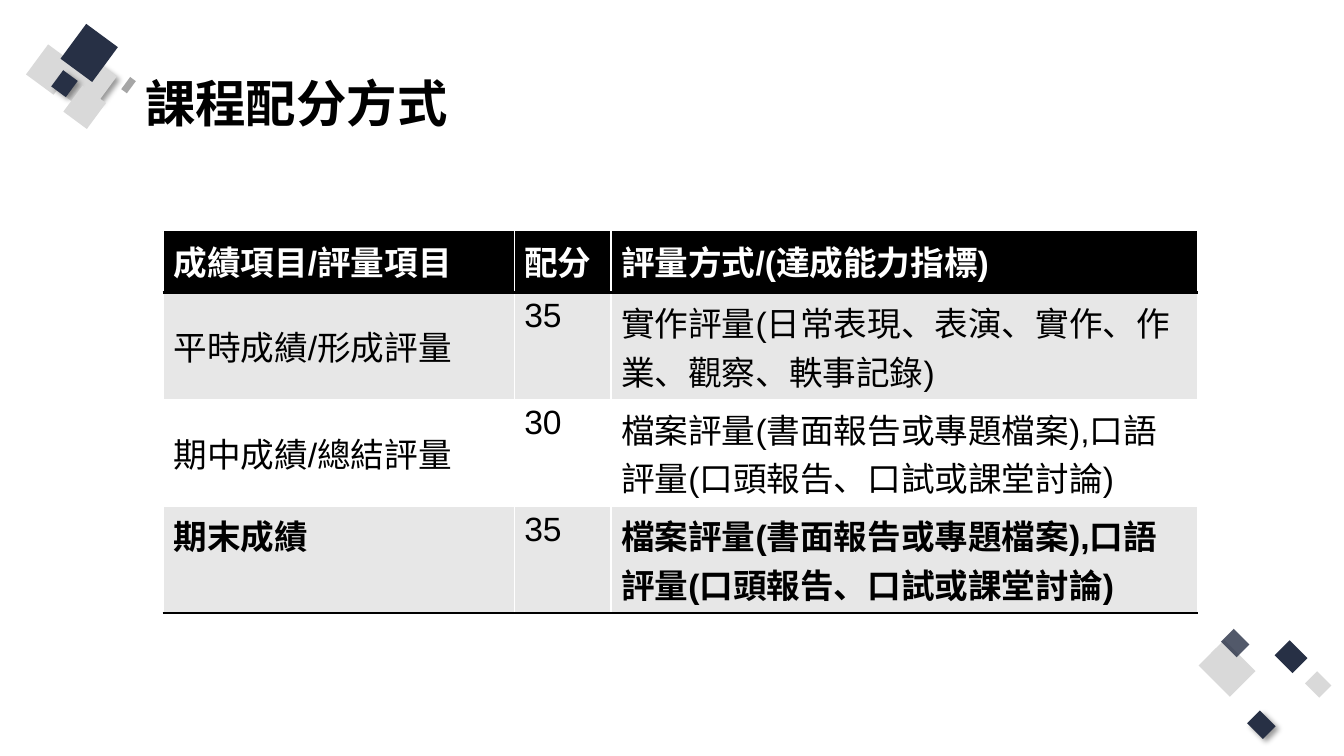
from dataclasses import dataclass
from lxml.etree import SubElement
from pptx import Presentation
from pptx.dml.color import RGBColor
from pptx.enum.shapes import MSO_SHAPE as Preset
from pptx.enum.text import MSO_ANCHOR as Anchor
from pptx.oxml.ns import qn
from pptx.util import Inches, Pt


@dataclass(frozen=True)
class Theme:
    font: str = "Arial"
    navy: str = "273045"
    silver: str = "D9D9D9"
    gray: str = "A6A6A6"
    black: str = "000000"
    white: str = "FFFFFF"
    band: str = "E7E7E7"
    title_size: int = 36
    table_size: int = 24


class SlideBuilder:
    def __init__(self, slide, theme):
        self.slide = slide
        self.theme = theme

    def style(self, paragraph, size, color, bold):
        for run in paragraph.runs:
            run.font.name = self.theme.font
            run.font.size = Pt(size)
            run.font.bold = bold
            run.font.color.rgb = RGBColor.from_string(color)

    def tile(self, left, top, width, height, angle, color, shadow=False, opacity=100):
        shape = self.slide.shapes.add_shape(
            Preset.RECTANGLE, Inches(left), Inches(top), Inches(width), Inches(height))
        shape.rotation = angle
        shape.shadow.inherit = False
        shape.fill.solid()
        shape.fill.fore_color.rgb = RGBColor.from_string(color)
        shape.line.fill.background()
        properties = shape.element.spPr
        if opacity < 100:
            fill_color = properties.find(qn("a:solidFill"))[0]
            SubElement(fill_color, qn("a:alpha"), val=str(opacity * 1000))
        if shadow:
            outer = SubElement(
                properties.find(qn("a:effectLst")), qn("a:outerShdw"),
                blurRad=str(Pt(4)), dist=str(Pt(3)), dir=str(45 * 60000),
                algn="tl", rotWithShape="0")
            shadow_color = SubElement(outer, qn("a:srgbClr"), val=self.theme.black)
            SubElement(shadow_color, qn("a:alpha"), val="40000")

    def title(self, text, left, top, width, height):
        box = self.slide.shapes.add_textbox(
            Inches(left), Inches(top), Inches(width), Inches(height))
        frame = box.text_frame
        frame.word_wrap = True
        frame.vertical_anchor = Anchor.MIDDLE
        frame.text = text
        paragraph = frame.paragraphs[0]
        paragraph.line_spacing = 0.9
        self.style(paragraph, self.theme.title_size, self.theme.black, True)

    def border(self, cell, sides):
        properties = cell._tc.get_or_add_tcPr()
        for index, side in enumerate(sides):
            line = properties.makeelement(qn(f"a:{side}"), {"w": str(Pt(2))})
            fill = SubElement(line, qn("a:solidFill"))
            SubElement(fill, qn("a:srgbClr"), val=self.theme.black)
            properties.insert(index, line)

    def table(self, rows, left, top, widths, heights):
        theme = self.theme
        table = self.slide.shapes.add_table(
            len(rows), len(widths), Inches(left), Inches(top),
            Inches(sum(widths)), Inches(sum(heights))).table
        for column, width in zip(table.columns, widths):
            column.width = Inches(width)
        for row, height in zip(table.rows, heights):
            row.height = Inches(height)
        last = len(rows) - 1
        for row_index, texts in enumerate(rows):
            header = row_index == 0
            fill = theme.black if header else theme.band if row_index % 2 else theme.white
            for column_index, text in enumerate(texts):
                cell = table.cell(row_index, column_index)
                cell.text_frame.text = text
                bold = header or (row_index == last and column_index != 1)
                self.style(cell.text_frame.paragraphs[0], theme.table_size,
                           theme.white if header else theme.black, bold)
                cell.fill.solid()
                cell.fill.fore_color.rgb = RGBColor.from_string(fill)
                if column_index == 0 and 0 < row_index < last:
                    cell.vertical_anchor = Anchor.MIDDLE
                    cell.margin_right = 0
                if header:
                    self.border(cell, ["lnT", "lnB"])
                elif row_index == last:
                    self.border(cell, ["lnB"])


theme = Theme()
presentation = Presentation()
presentation.slide_width = Inches(13.33)
presentation.slide_height = Inches(7.5)
slide = presentation.slides.add_slide(presentation.slide_layouts[6])
builder = SlideBuilder(slide, theme)

TOP_ANGLE = 306.4
top_tiles = [
    (1.2, 0.81, 0.15, 0.07, theme.gray, False),
    (0.32, 0.52, 0.37, 0.34, theme.silver, False),
    (0.8, 0.66, 0.31, 0.28, theme.silver, True),
    (0.69, 0.61, 0.19, 0.17, theme.silver, False),
    (0.56, 0.66, 0.33, 0.3, theme.silver, False),
    (0.54, 0.74, 0.2, 0.18, theme.navy, True),
    (0.67, 0.33, 0.43, 0.39, theme.navy, False),
    (0.68, 0.92, 0.32, 0.29, theme.silver, False),
]
for left, top, width, height, color, shadow in top_tiles:
    builder.tile(left, top, width, height, TOP_ANGLE, color, shadow)

bottom_tiles = [
    (12.7, 6.39, 0.21, 0.25, 315, theme.navy, False, 100),
    (12.99, 6.69, 0.17, 0.2, 315, theme.silver, False, 100),
    (11.99, 6.41, 0.36, 0.44, 135, theme.silver, False, 100),
    (12.42, 7.08, 0.18, 0.22, 135, theme.navy, True, 100),
    (12.16, 6.27, 0.18, 0.22, 135, theme.navy, False, 80),
]
for tile in bottom_tiles:
    builder.tile(*tile)

builder.title("課程配分方式", 1.34, 0.4, 10.55, 1.3)

summative = "檔案評量(書面報告或專題檔案),口語評量(口頭報告、口試或課堂討論)"
grading = [
    ("成績項目/評量項目", "配分", "評量方式/(達成能力指標)"),
    ("平時成績/形成評量", "35", "實作評量(日常表現、表演、實作、作業、觀察、軼事記錄)"),
    ("期中成績/總結評量", "30", summative),
    ("期末成績", "35", summative),
]
builder.table(grading, 1.62, 2.3, [3.48, 0.96, 5.82], [0.6, 1.06, 1.06, 1.06])

presentation.save("out.pptx")
